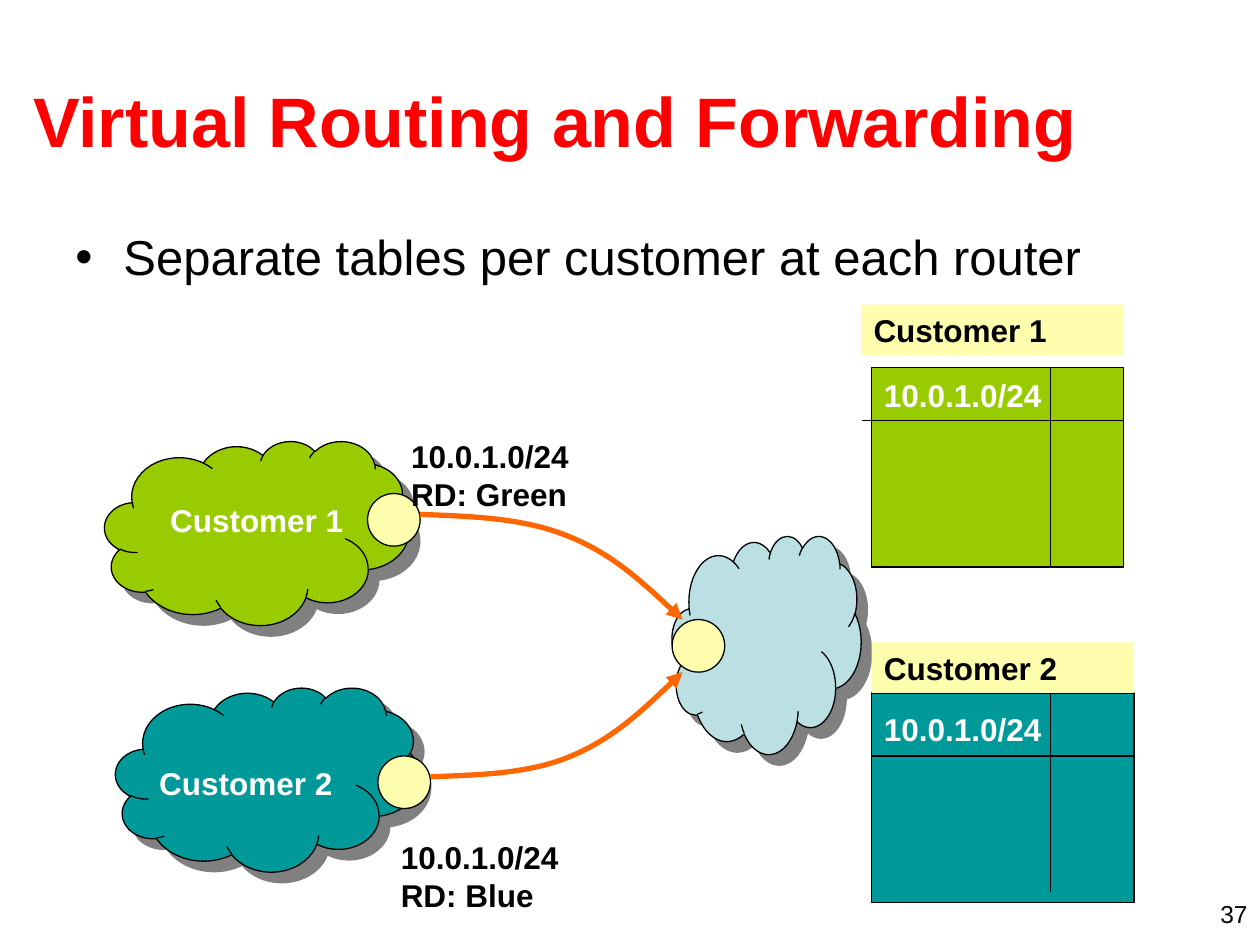
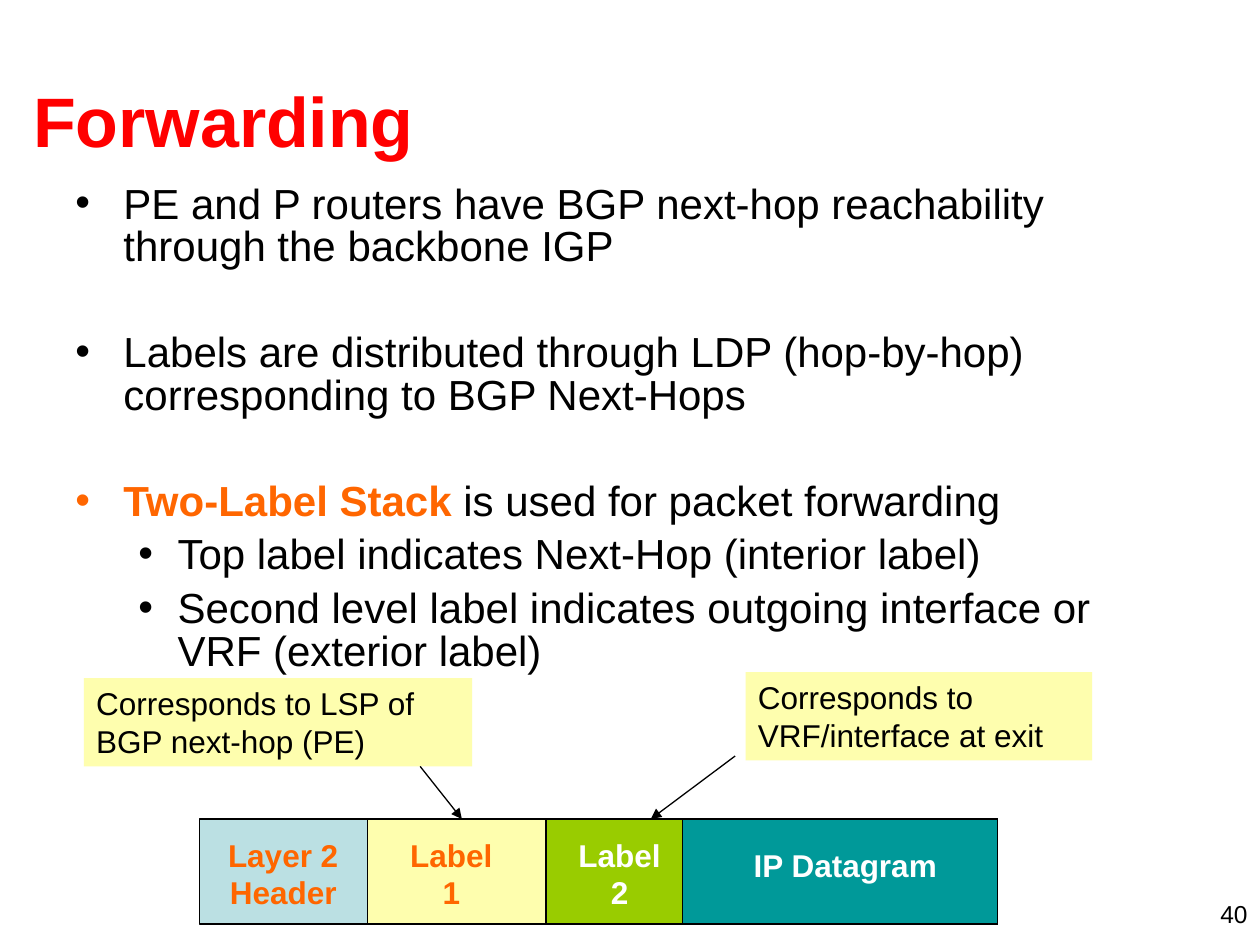
from dataclasses import dataclass

from lxml.etree import SubElement
from pptx import Presentation
from pptx.dml.color import RGBColor
from pptx.enum.shapes import MSO_CONNECTOR, MSO_SHAPE
from pptx.enum.text import MSO_ANCHOR, PP_ALIGN
from pptx.oxml.ns import qn
from pptx.util import Cm, Pt


@dataclass(frozen=True)
class Theme:
    font: str = "Arial"
    red: str = "FF0000"
    black: str = "000000"
    white: str = "FFFFFF"
    orange: str = "FF6600"
    green: str = "99CC00"
    teal: str = "009999"
    ice: str = "BBE0E3"
    cream: str = "FEFEAE"
    shadow: str = "808080"
    title: int = 40
    lead: int = 28
    body: int = 24
    label: int = 18
    number: int = 14
    thin: float = 0.75
    thick: float = 3


THEME = Theme()
rgb = RGBColor.from_string


# Text
def style_font(font, size, color, bold=False):
    font.name = THEME.font
    font.size = Pt(size)
    font.bold = bold
    font.color.rgb = rgb(color)


def add_frame(slide, box, anchor=MSO_ANCHOR.TOP, fill=None):
    holder = slide.shapes.add_textbox(*map(Cm, box))
    if fill:
        holder.fill.solid()
        holder.fill.fore_color.rgb = rgb(fill)
    frame = holder.text_frame
    frame.word_wrap = True
    frame.vertical_anchor = anchor
    return frame


def add_label(slide, box, text, color=THEME.black, bold=True, size=THEME.label,
              align=PP_ALIGN.LEFT, anchor=MSO_ANCHOR.TOP, fill=None):
    paragraph = add_frame(slide, box, anchor, fill).paragraphs[0]
    paragraph.text = text
    paragraph.alignment = align
    style_font(paragraph.font, size, color, bold)


def add_bullet(paragraph, text, size, lead="", level=0):
    """Write one bulleted line, optionally opening with a highlighted lead."""
    margin, hang = ((0.97, 0.97), (2.06, 0.79))[level]
    props = paragraph._p.get_or_add_pPr()
    props.set("marL", str(Cm(margin)))
    props.set("indent", str(-Cm(hang)))
    bullet_color = SubElement(props, qn("a:buClr"))
    SubElement(bullet_color, qn("a:srgbClr"), val=THEME.orange if lead else THEME.black)
    SubElement(props, qn("a:buFont"), typeface=THEME.font)
    SubElement(props, qn("a:buChar"), char="•")
    style_font(paragraph.font, size, THEME.black)
    if lead:
        lead_run = paragraph.add_run()
        lead_run.text = lead
        style_font(lead_run.font, size, THEME.orange, bold=True)
    paragraph.add_run().text = text


# Shapes and lines
def add_block(slide, preset, box, fill):
    block = slide.shapes.add_shape(preset, *map(Cm, box))
    block.shadow.inherit = False
    block.fill.solid()
    block.fill.fore_color.rgb = rgb(fill)
    block.line.color.rgb = rgb(THEME.black)
    block.line.width = Pt(THEME.thin)
    return block


def add_cloud(slide, box, fill):
    cloud = add_block(slide, MSO_SHAPE.CLOUD, box, fill)
    effects = cloud._element.spPr.find(qn("a:effectLst"))
    shadow = SubElement(effects, qn("a:outerShdw"), dist=str(Pt(8.5)),
                        dir="2700000", algn="ctr", rotWithShape="0")
    SubElement(shadow, qn("a:srgbClr"), val=THEME.shadow)


def add_arrowhead(line_shape):
    outline = line_shape._element.spPr.find(qn("a:ln"))
    SubElement(outline, qn("a:tailEnd"), type="triangle")


def add_line(slide, start, end, arrow=False):
    line = slide.shapes.add_connector(MSO_CONNECTOR.STRAIGHT, *map(Cm, start + end))
    line.line.color.rgb = rgb(THEME.black)
    line.line.width = Pt(THEME.thin)
    SubElement(line._element.spPr, qn("a:effectLst"))
    if arrow:
        add_arrowhead(line)


def add_route(slide, start, *controls):
    """Draw a curved arrow; every three control points form one Bézier segment."""
    builder = slide.shapes.build_freeform(Cm(start[0]), Cm(start[1]))
    builder.add_line_segments([(Cm(x), Cm(y)) for x, y in controls], close=False)
    route = builder.convert_to_shape()
    outline = next(route._element.iter(qn("a:path")))
    steps = outline.findall(qn("a:lnTo"))
    for first in range(0, len(steps), 3):
        curve = SubElement(outline, qn("a:cubicBezTo"))
        for step in steps[first:first + 3]:
            curve.append(step[0])
            outline.remove(step)
    route.shadow.inherit = False
    route.fill.background()
    route.line.color.rgb = rgb(THEME.orange)
    route.line.width = Pt(THEME.thick)
    add_arrowhead(route)


def add_routing_table(slide, box, row_y, row_left, column_bottom, prefix_y, fill):
    left, top, width, _ = box
    column_x = 21.17
    add_block(slide, MSO_SHAPE.RECTANGLE, box, fill)
    add_line(slide, (row_left, row_y), (left + width, row_y))
    add_line(slide, (column_x, top), (column_x, column_bottom))
    add_label(slide, (left, prefix_y, 3.81, 1.02), "10.0.1.0/24", THEME.white)


# Slides
def start_slide(deck, title, number):
    slide = deck.slides.add_slide(deck.slide_layouts[6])
    add_label(slide, (0.42, 0.81, 24.34, 3.18), title, THEME.red,
              size=THEME.title, anchor=MSO_ANCHOR.MIDDLE)
    add_label(slide, (19.47, 17.99, 5.93, 0.64), number, bold=False,
              size=THEME.number, align=PP_ALIGN.RIGHT)
    return slide


def build_vrf_slide(deck):
    slide = start_slide(deck, "Virtual Routing and Forwarding", "37")
    lead = add_frame(slide, (1.27, 4.45, 22.86, 1.7))
    add_bullet(lead.paragraphs[0], "Separate tables per customer at each router", THEME.lead)

    # Networks and their edge routers
    add_cloud(slide, (13.55, 10.8, 3.81, 4.4), THEME.ice)
    add_cloud(slide, (2.11, 8.89, 6.14, 3.71), THEME.green)
    add_cloud(slide, (2.33, 13.86, 6.14, 3.71), THEME.teal)
    for x, y in ((13.55, 12.49), (7.41, 9.95), (7.62, 15.24)):
        add_block(slide, MSO_SHAPE.OVAL, (x, y, 1.06, 1.06), THEME.cream)
    add_label(slide, (3.18, 9.98, 4.02, 1.02), "Customer 1", THEME.white)
    add_label(slide, (2.96, 15.28, 4.02, 1.02), "Customer 2", THEME.white)

    # Advertised routes
    add_label(slide, (8.04, 8.68, 4.45, 1.78), "10.0.1.0/24\nRD: Green")
    add_label(slide, (7.83, 16.77, 4.45, 1.78), "10.0.1.0/24\nRD: Blue")
    add_route(slide, (8.47, 10.37), (9.5, 10.41), (10.54, 10.44), (11.43, 10.8),
              (12.32, 11.15), (13.03, 11.81), (13.76, 12.49))
    add_route(slide, (8.68, 15.66), (9.68, 15.62), (10.67, 15.6), (11.52, 15.24),
              (12.37, 14.88), (13.06, 14.22), (13.76, 13.55))

    # Routing table of each customer
    add_routing_table(slide, (17.57, 7.41, 5.08, 4.02), 8.47, 17.37, 11.43, 7.45, THEME.green)
    add_routing_table(slide, (17.57, 13.97, 5.29, 4.23), 15.24, 17.57, 17.99, 14.18, THEME.teal)
    add_label(slide, (17.36, 6.14, 5.29, 1.02), "Customer 1", fill=THEME.cream)
    add_label(slide, (17.57, 12.95, 5.29, 1.02), "Customer 2", fill=THEME.cream)


def build_forwarding_slide(deck):
    slide = start_slide(deck, "Forwarding", "40")

    # Points: lead, text, level, space before
    points = (
        ("", "PE and P routers have BGP next-hop reachability through the backbone IGP", 0, 0),
        ("", "Labels are distributed through LDP (hop-by-hop) corresponding to BGP Next-Hops",
         0, 36),
        ("Two-Label Stack", " is used for packet forwarding", 0, 36),
        ("", "Top label indicates Next-Hop (interior label)", 1, 6),
        ("", "Second level label indicates outgoing interface or VRF (exterior label)", 1, 6),
    )
    frame = add_frame(slide, (1.27, 3.6, 22.86, 10.37))
    for index, (lead, text, level, gap) in enumerate(points):
        paragraph = frame.add_paragraph() if index else frame.paragraphs[0]
        paragraph.line_spacing = 0.85
        if gap:
            paragraph.space_before = Pt(gap)
        add_bullet(paragraph, text, THEME.body, lead, level)

    # Packet: every field is laid over the previous one up to the right end
    packet_right, packet_top = 20.11, 16.51
    fields = (
        (4.02, THEME.ice, "Layer 2 Header", THEME.orange, (4.23, 16.72, 2.96, 1.78)),
        (7.41, THEME.cream, "Label\n1", THEME.orange, (7.83, 16.72, 2.54, 1.78)),
        (11.01, THEME.green, "Label\n2", THEME.white, (11.22, 16.72, 2.54, 1.78)),
        (13.76, THEME.teal, "IP Datagram", THEME.white, (14.72, 16.93, 4.64, 1.02)),
    )
    for left, fill, text, color, text_area in fields:
        add_block(slide, MSO_SHAPE.RECTANGLE,
                  (left, packet_top, packet_right - left, 2.12), fill)
        add_label(slide, text_area, text, color, align=PP_ALIGN.CENTER)

    # Explanations of the two labels
    add_label(slide, (1.69, 13.67, 7.83, 1.78), "Corresponds to LSP of\nBGP next-hop (PE)",
              bold=False, fill=THEME.cream)
    add_label(slide, (15.03, 13.55, 6.99, 1.78), "Corresponds to VRF/interface at exit",
              bold=False, fill=THEME.cream)
    add_line(slide, (8.47, 15.45), (9.31, packet_top), arrow=True)
    add_line(slide, (14.82, 15.24), (13.12, packet_top), arrow=True)


def main():
    deck = Presentation()
    deck.slide_width, deck.slide_height = Cm(25.4), Cm(19.05)
    build_vrf_slide(deck)
    build_forwarding_slide(deck)
    deck.save("out.pptx")


if __name__ == "__main__":
    main()
